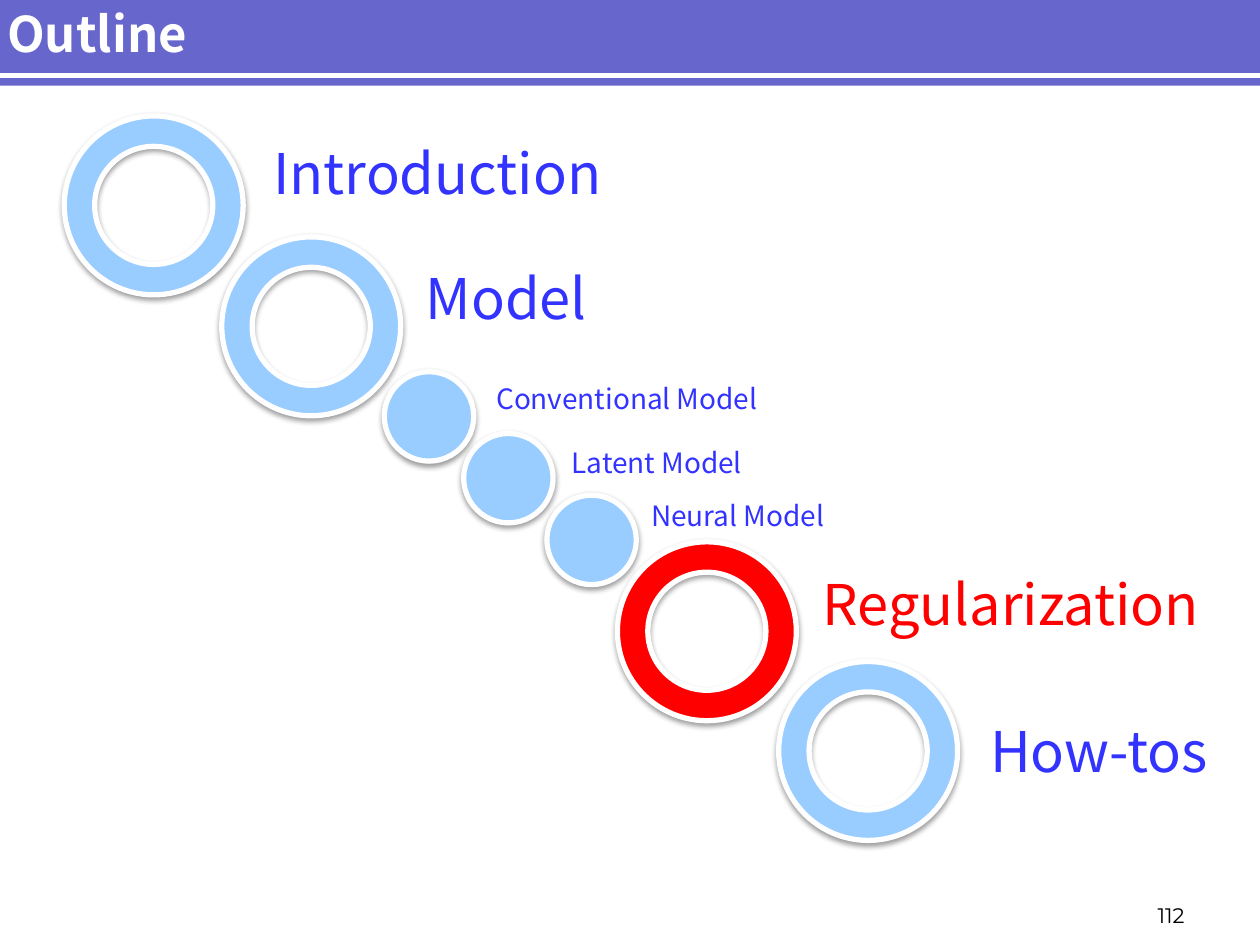
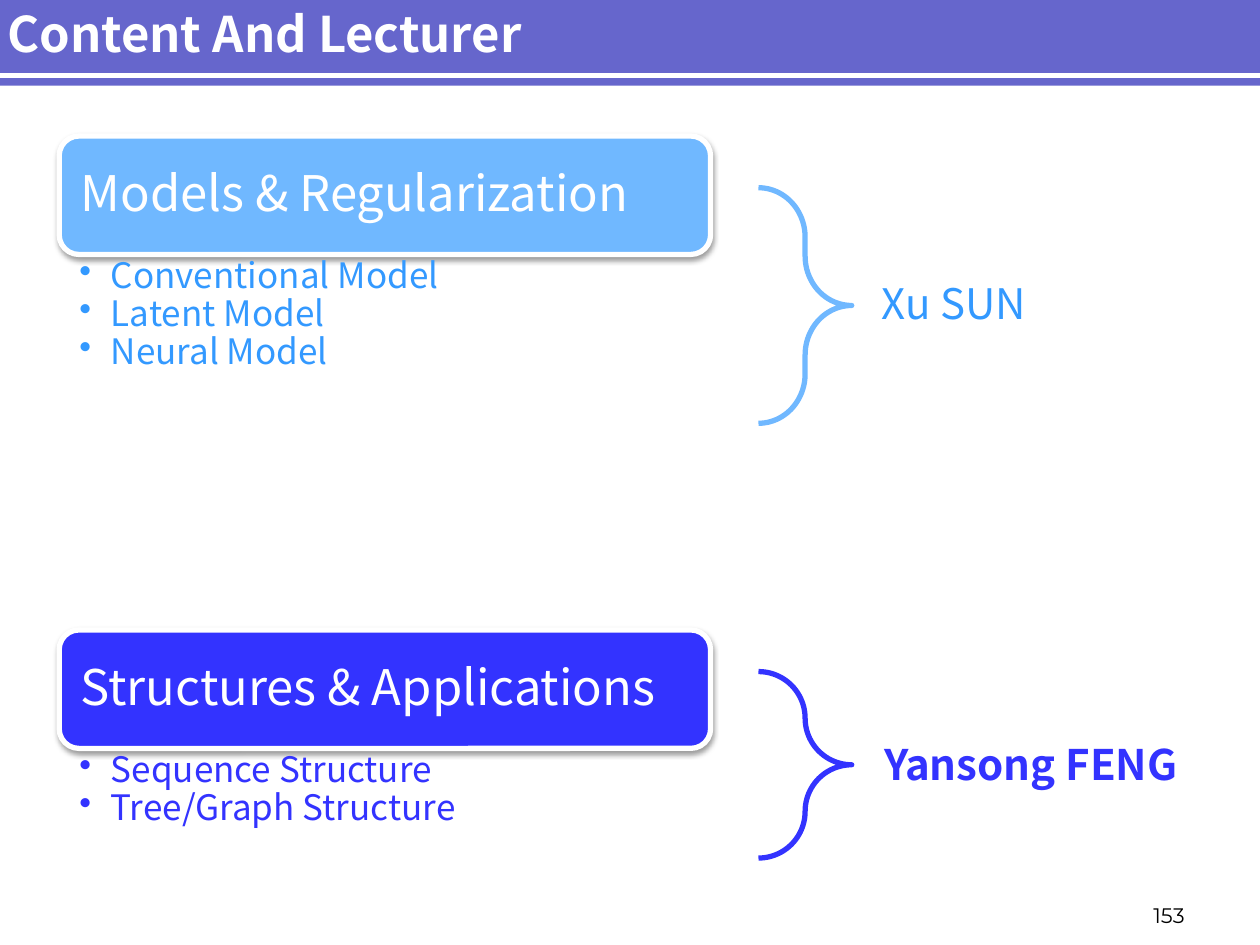
from lxml import etree
from pptx import Presentation
from pptx import util as u
from pptx.dml.color import RGBColor
from pptx.enum import shapes, text
from pptx.oxml import parse_xml
from pptx.oxml.ns import nsdecls, qn

rgb = RGBColor.from_string
BAND, WHITE, BLACK, RED = "6666CC", "FFFFFF", "000000", "FF0000"
PALE, SKY, AZURE, BLUE = "99CCFF", "70B8FF", "3399FF", "3333FF"
SC, JP, NUMBER_FONT = "Noto Sans CJK SC", "Noto Sans CJK JP", "Montserrat"
TOP, MIDDLE, BOTTOM = (text.MSO_ANCHOR.TOP, text.MSO_ANCHOR.MIDDLE,
                       text.MSO_ANCHOR.BOTTOM)
KIND = shapes.MSO_SHAPE
SHADOW = (
    f'<a:effectLst {nsdecls("a")}>'
    '<a:outerShdw blurRad="40000" dist="20000" dir="5400000" rotWithShape="0">'
    '<a:srgbClr val="000000"><a:alpha val="38000"/></a:srgbClr>'
    '</a:outerShdw></a:effectLst>')


def add_figure(slide, kind, box, fill, line=None, adjust=(), raised=False):
    figure = slide.shapes.add_shape(kind, *map(u.Inches, box))
    figure.shadow.inherit = False
    for index, value in enumerate(adjust):
        figure.adjustments[index] = value
    if fill:
        figure.fill.solid()
        figure.fill.fore_color.rgb = rgb(fill)
    else:
        figure.fill.background()
    if line:
        figure.line.color.rgb = rgb(line)
        figure.line.width = u.Pt(3)
    else:
        figure.line.fill.background()
    if raised:
        properties = figure._element.spPr
        properties.remove(properties.find(qn("a:effectLst")))
        properties.append(parse_xml(SHADOW))


def add_text(slide, box, lines, size, color, font=SC, bold=False, anchor=TOP,
             align=text.PP_ALIGN.LEFT, inset=(0.1, 0.05), spacing=1.0, bullet=False):
    frame = slide.shapes.add_textbox(*map(u.Inches, box)).text_frame
    across, down = map(u.Inches, inset)
    frame_format = {"word_wrap": True, "vertical_anchor": anchor,
                    "margin_left": across, "margin_right": across,
                    "margin_top": down, "margin_bottom": down}
    for name, value in frame_format.items():
        setattr(frame, name, value)
    frame.text = "\n".join(lines)
    for paragraph in frame.paragraphs:
        paragraph.alignment = align
        paragraph.line_spacing = spacing
        if bullet:
            properties = paragraph._p.get_or_add_pPr()
            properties.set("marL", str(u.Inches(0.25)))
            properties.set("indent", str(u.Inches(-0.25)))
            etree.SubElement(properties, qn("a:buChar")).set("char", "•")
        font_format = {"name": font, "size": u.Pt(size), "bold": bold}
        for name, value in font_format.items():
            setattr(paragraph.runs[0].font, name, value)
        paragraph.runs[0].font.color.rgb = rgb(color)


deck = Presentation()
deck.slide_width, deck.slide_height = u.Inches(10), u.Inches(7.5)

pages = []
for title, number in [("Outline", "112"), ("Content And Lecturer", "153")]:
    page = deck.slides.add_slide(deck.slide_layouts[6])
    add_figure(page, KIND.RECTANGLE, (-0.04, -0.03, 10.04, 0.71), BAND)
    stripe = page.shapes.add_connector(
        shapes.MSO_CONNECTOR.STRAIGHT, *map(u.Inches, (-0.04, 0.6, 10, 0.6)))
    stripe.line.color.rgb = rgb(WHITE)
    stripe.line.width = u.Pt(3)
    etree.SubElement(stripe._element.spPr, qn("a:effectLst"))
    add_text(page, (-0.04, 0.05, 8.77, 0.43), [title], 28, WHITE,
             bold=True, anchor=MIDDLE)
    add_text(page, (8.62, 7.06, 0.88, 0.35), [number], 12, BLACK,
             font=NUMBER_FONT, anchor=BOTTOM, align=text.PP_ALIGN.RIGHT)
    pages.append(page)
outline, lecturers = pages

chapters = [
    ("Introduction", 0.51, 0.92, 2.07, 1.05, 3.92, PALE, BLUE),
    ("Model", 1.76, 1.88, 3.28, 2.04, 3.92, PALE, BLUE),
    ("Regularization", 4.9, 4.3, 6.43, 4.47, 3.92, RED, RED),
    ("How-tos", 6.18, 5.25, 7.76, 5.64, 2.02, PALE, BLUE),
]
for label, ring_x, ring_y, label_x, label_y, width, ring_color, color in chapters:
    add_figure(outline, KIND.DONUT, (ring_x, ring_y, 1.42, 1.42), ring_color,
               WHITE, adjust=[0.17], raised=True)
    add_text(outline, (label_x, label_y, width, 0.64), [label], 32, color, font=JP)

models = [
    ("Neural Model", 4.34, 3.93, 5.07, 3.91),
    ("Latent Model", 3.68, 3.44, 4.44, 3.49),
    ("Conventional Model", 3.05, 2.95, 3.84, 2.98),
]
for label, dot_x, dot_y, label_x, label_y in models:
    add_figure(outline, KIND.OVAL, (dot_x, dot_y, 0.71, 0.71), PALE, WHITE, raised=True)
    add_text(outline, (label_x, label_y, 2.82, 0.37), [label], 16, BLUE, font=JP)

parts = [
    ("Models & Regularization", 1.08, SKY, AZURE, 2.98,
     ["Conventional Model", "Latent Model", "Neural Model"],
     (6.02, 1.49, 0.74, 1.87), "Xu SUN", (6.9, 2.15, 1.83, 0.55), False),
    ("Structures & Applications", 5, BLUE, BLUE, 1.01,
     ["Sequence Structure", "Tree/Graph Structure"],
     (6.02, 5.33, 0.74, 1.48), "Yansong FENG", (6.92, 5.81, 2.69, 0.5), True),
]
for heading, top, fill, color, height, topics, brace, lecturer, place, bold in parts:
    add_figure(lecturers, KIND.ROUNDED_RECTANGLE, (0.47, top, 5.17, 0.94), fill,
               WHITE, raised=True)
    add_text(lecturers, (0.52, top + 0.05, 5.08, 0.85), [heading], 28, WHITE,
             anchor=MIDDLE, inset=(0.12, 0.12), spacing=0.9)
    add_text(lecturers, (0.47, top + 0.94, 5.17, height), topics, 20, color,
             inset=(0.16, 0.03), spacing=0.9, bullet=True)
    add_figure(lecturers, KIND.RIGHT_BRACE, brace, None, fill, adjust=[0.53, 0.5])
    add_text(lecturers, place, [lecturer], 24, color, bold=bold)

deck.save("out.pptx")
